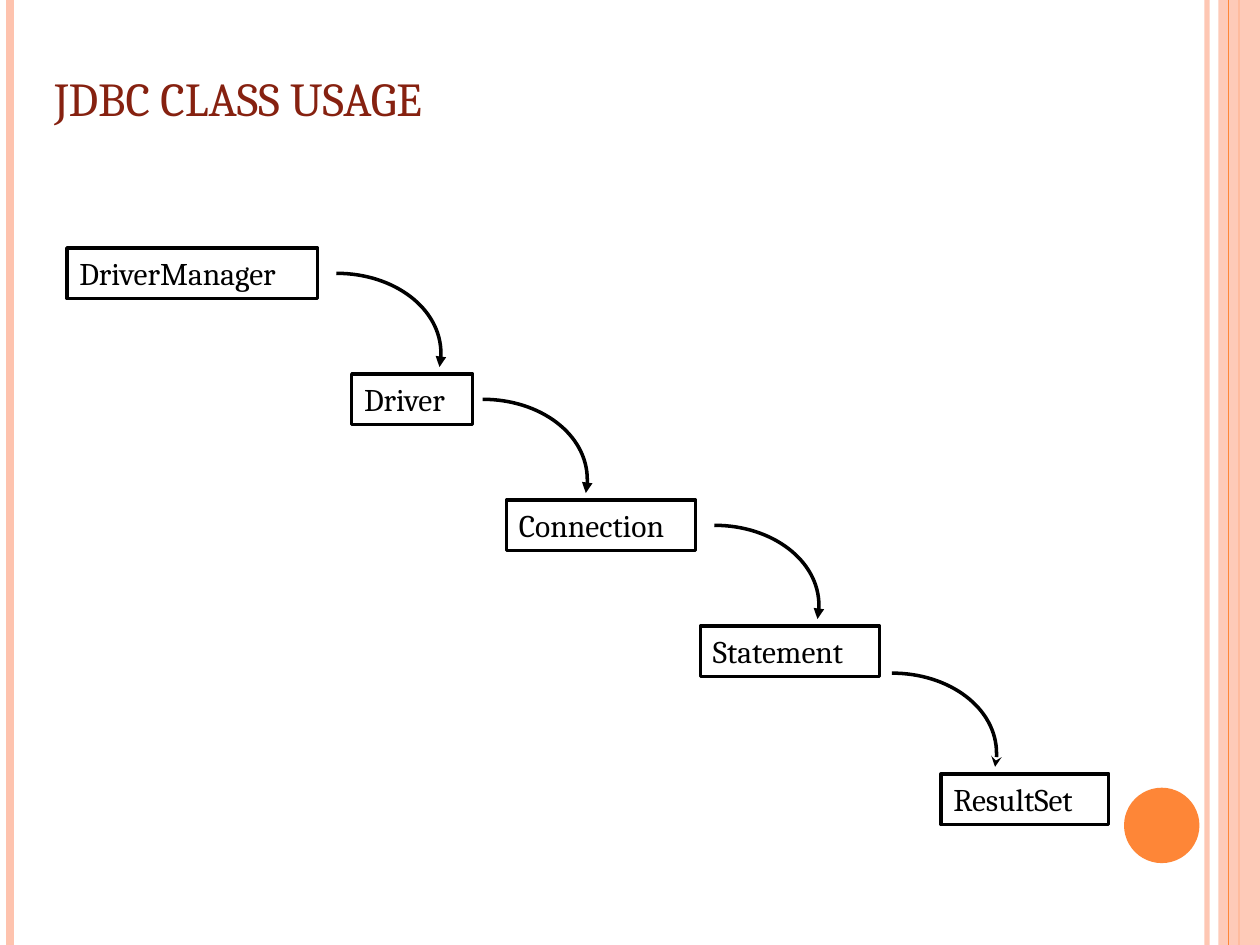
"""Build the JDBC class usage slide: a staircase of classes joined by curved arrows."""
import pptx
import pptx.dml.color
import pptx.enum.shapes
import pptx.enum.text
import pptx.oxml
import pptx.oxml.ns
import pptx.util
from pptx.util import Cm, Pt

TITLE = "JDBC CLASS USAGE"
CLASSES = [
    ("DriverManager", 1.35, 5.0, 5.05),
    ("Driver", 7.09, 7.54, 2.44),
    ("Connection", 10.21, 10.08, 3.81),
    ("Statement", 14.12, 12.62, 3.61),
    ("ResultSet", 18.97, 15.6, 3.38),
]
ARROWS = [(6.78, "triangle"), (9.73, "triangle"), (14.4, "triangle"), (17.98, "stealth")]
STRIPES_BEHIND = [(24.33, "peach", 3, 93), (0.21, "peach", 4.5, 100), (24.98, "orange", 1.5, 100)]
STRIPES_FRONT = [(24.77, "orange", 0.75, 100)]
CURVE = [(1.17, 0), (2.11, 0.71), (2.11, 1.62), (2.11, 1.71), (2.1, 1.8), (2.08, 1.89)]

THEME = {
    "font": "Cambria", "title_size": 27, "label_size": 18, "line": 2,
    "title": "862110", "ink": "000000", "peach": "FEC3AE", "orange": "FE8637",
}
SLIDE_W, SLIDE_H = 25.4, 19.05
BOX_H = 1.02
ARROW_RISE = 2.03


def rgb(name):
    return pptx.dml.color.RGBColor.from_string(THEME[name])


def set_alpha(fill_parent, percent):
    color = fill_parent.find(".//" + pptx.oxml.ns.qn("a:srgbClr"))
    alpha = pptx.oxml.parse_xml(f'<a:alpha {pptx.oxml.ns.nsdecls("a")} val="{percent * 1000}"/>')
    color.append(alpha)


def style_text(frame, text, size, color, anchor):
    frame.text = text
    frame.word_wrap = True
    frame.vertical_anchor = anchor
    paragraph = frame.paragraphs[0]
    paragraph.alignment = pptx.enum.text.PP_ALIGN.LEFT
    paragraph.font.name = THEME["font"]
    paragraph.font.size = Pt(THEME[size])
    paragraph.font.color.rgb = rgb(color)


def add_stripe(slide, x, color, width, opacity):
    stripe = slide.shapes.add_connector(
        pptx.enum.shapes.MSO_CONNECTOR.STRAIGHT, Cm(x), 0, Cm(x), Cm(SLIDE_H))
    stripe.line.color.rgb = rgb(color)
    stripe.line.width = Pt(width)
    properties = stripe._element.spPr
    if opacity < 100:
        set_alpha(properties, opacity)
    properties.append(pptx.oxml.parse_xml(f'<a:effectLst {pptx.oxml.ns.nsdecls("a")}/>'))


def add_filled(slide, kind, place, color):
    shape = slide.shapes.add_shape(kind, *map(Cm, place))
    shape.shadow.inherit = False
    shape.fill.solid()
    shape.fill.fore_color.rgb = rgb(color)
    shape.line.fill.background()
    return shape


def outline(shape):
    shape.shadow.inherit = False
    shape.fill.background()
    shape.line.color.rgb = rgb("ink")
    shape.line.width = Pt(THEME["line"])


def add_class(slide, name, left, top, width):
    box = slide.shapes.add_shape(
        pptx.enum.shapes.MSO_SHAPE.RECTANGLE, Cm(left), Cm(top), Cm(width), Cm(BOX_H))
    outline(box)
    style_text(box.text_frame, name, "label_size", "ink", pptx.enum.text.MSO_ANCHOR.MIDDLE)


def add_arrow(slide, left, top, head):
    builder = slide.shapes.build_freeform(Cm(left), Cm(top))
    builder.add_line_segments([(Cm(left + x), Cm(top + y)) for x, y in CURVE], close=False)
    arrow = builder.convert_to_shape()
    outline(arrow)
    route = arrow._element.spPr.find(".//" + pptx.oxml.ns.qn("a:path"))
    segments = route.findall(pptx.oxml.ns.qn("a:lnTo"))
    for first in range(0, len(segments), 3):
        bezier = pptx.oxml.parse_xml(f'<a:cubicBezTo {pptx.oxml.ns.nsdecls("a")}/>')
        for segment in segments[first:first + 3]:
            bezier.append(segment[0])
            route.remove(segment)
        route.append(bezier)
    arrow.line._get_or_add_ln().append(
        pptx.oxml.parse_xml(f'<a:tailEnd {pptx.oxml.ns.nsdecls("a")} type="{head}"/>'))


def main():
    deck = pptx.Presentation()
    deck.slide_width, deck.slide_height = Cm(SLIDE_W), Cm(SLIDE_H)
    slide = deck.slides.add_slide(deck.slide_layouts[5])

    for stripe in STRIPES_BEHIND:
        add_stripe(slide, *stripe)
    band = add_filled(slide, pptx.enum.shapes.MSO_SHAPE.RECTANGLE, (24.56, 0, 0.84, SLIDE_H), "peach")
    set_alpha(band._element.spPr, 87)
    for stripe in STRIPES_FRONT:
        add_stripe(slide, *stripe)
    add_filled(slide, pptx.enum.shapes.MSO_SHAPE.OVAL, (22.66, 15.88, 1.52, 1.52), "orange")

    title = slide.shapes.title
    title.left, title.top, title.width, title.height = map(Cm, (0.84, 1.07, 22.86, 1.6))
    style_text(title.text_frame, TITLE, "title_size", "title", pptx.enum.text.MSO_ANCHOR.BOTTOM)

    for entry in CLASSES:
        add_class(slide, *entry)
    for (left, head), (_, _, target_top, _) in zip(ARROWS, CLASSES[1:]):
        add_arrow(slide, left, target_top - ARROW_RISE, head)

    deck.save("out.pptx")


if __name__ == "__main__":
    main()
